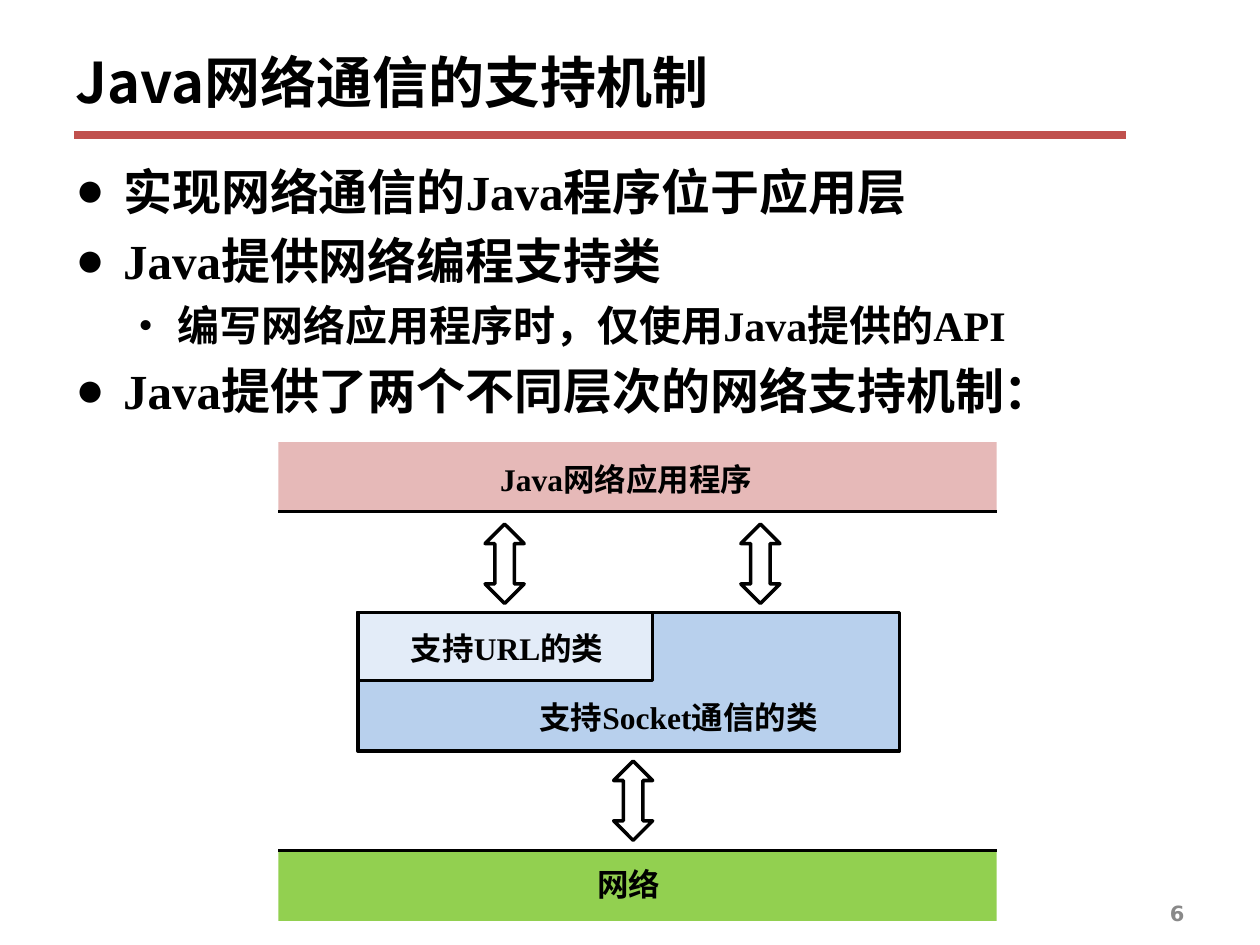
import pptx
import pptx.dml.color
import pptx.enum.shapes
import pptx.enum.text
import pptx.oxml.ns
import pptx.util
from lxml import etree

Inches, Pt = pptx.util.Inches, pptx.util.Pt
SHAPE = pptx.enum.shapes.MSO_SHAPE
ALIGN = pptx.enum.text.PP_ALIGN
ANCHOR = pptx.enum.text.MSO_ANCHOR
qn = pptx.oxml.ns.qn

SERIF, CJK, SANS = "Times New Roman", "Noto Sans CJK SC", "DejaVu Sans"
BLACK, GREY, RED = "000000", "898989", "C0504D"
PINK, GREEN, BLUE, PALE_BLUE = "E6B9B8", "92D050", "B8D0ED", "E3ECF8"

TITLE = "Java网络通信的支持机制"
BULLETS = [  # level, text
    (0, "实现网络通信的Java程序位于应用层"),
    (0, "Java提供网络编程支持类"),
    (1, "编写网络应用程序时，仅使用Java提供的API"),
    (0, "Java提供了两个不同层次的网络支持机制："),
]
LEVELS = [  # bullet, size, left margin, hanging indent
    ("●", 28, 0.38, 0.38),
    ("•", 24, 0.81, 0.31),
]
PAGE_NUMBER = "6"

LAYER_X, LAYER_W, LAYER_H = 2.21, 5.7, 0.55
LAYERS = [  # top, fill, height of the border line
    (3.51, PINK, 4.06),
    (6.76, GREEN, 6.75),
]
CLASS_BOXES = [  # width, height, fill
    (4.3, 1.1, BLUE),
    (2.34, 0.54, PALE_BLUE),
]
CLASS_X, CLASS_Y = 2.84, 4.86
LABELS = [  # text, left, top, width
    ("Java网络应用程序", 3.84, 3.6, 2.26),
    ("支持URL的类", 3.1, 4.94, 1.85),
    ("支持Socket通信的类", 4.12, 5.49, 2.53),
    ("网络", 4.64, 6.82, 0.7),
]
ARROWS = [(3.85, 4.16), (5.88, 4.16), (4.87, 6.04)]
ARROW_W, ARROW_H = 0.31, 0.63


def rgb(color):
    return pptx.dml.color.RGBColor.from_string(color)


def add_run(p, text, size, font=SERIF, color=BLACK):
    r = p.add_run()
    r.text = text
    r.font.size = Pt(size)
    r.font.bold = True
    r.font.color.rgb = rgb(color)
    r.font.name = font
    ea = etree.SubElement(r.font._element, qn("a:ea"))
    ea.set("typeface", CJK)


def add_text_box(slide, x, y, w, h, anchor=ANCHOR.TOP, wrap=True):
    box = slide.shapes.add_textbox(Inches(x), Inches(y), Inches(w), Inches(h))
    tf = box.text_frame
    tf.word_wrap = wrap
    tf.vertical_anchor = anchor
    return tf


def add_bullet(p, char, margin, hanging):
    p.space_before = Pt(6)
    pPr = p._p.get_or_add_pPr()
    pPr.set("marL", str(Inches(margin)))
    pPr.set("indent", str(-Inches(hanging)))
    clr = etree.SubElement(pPr, qn("a:buClr"))
    etree.SubElement(clr, qn("a:srgbClr")).set("val", BLACK)
    etree.SubElement(pPr, qn("a:buFont")).set("typeface", SERIF)
    etree.SubElement(pPr, qn("a:buChar")).set("char", char)


def add_shape(slide, kind, x, y, w, h, fill=None, line=None):
    sp = slide.shapes.add_shape(kind, Inches(x), Inches(y), Inches(w), Inches(h))
    sp.shadow.inherit = False
    if fill:
        sp.fill.solid()
        sp.fill.fore_color.rgb = rgb(fill)
    else:
        sp.fill.background()
    if line:
        sp.line.color.rgb = rgb(line)
        sp.line.width = Pt(2)
    else:
        sp.line.fill.background()
    return sp


def add_rule(slide, x, y, w, color, width):
    """Add a horizontal line."""
    line = slide.shapes.add_connector(
        pptx.enum.shapes.MSO_CONNECTOR.STRAIGHT,
        Inches(x), Inches(y), Inches(x + w), Inches(y))
    line.line.color.rgb = rgb(color)
    line.line.width = Pt(width)
    etree.SubElement(line._element.spPr, qn("a:effectLst"))


def add_outline(slide):
    add_rule(slide, 0.59, 1.07, 8.35, RED, 4.5)
    tf = add_text_box(slide, 0.5, 0.21, 9, 0.87, ANCHOR.MIDDLE)
    add_run(tf.paragraphs[0], TITLE, 32, CJK)

    tf = add_text_box(slide, 0.5, 1.23, 9, 5.83)
    for i, (level, text) in enumerate(BULLETS):
        p = tf.add_paragraph() if i else tf.paragraphs[0]
        p.level = level
        char, size, margin, hanging = LEVELS[level]
        add_bullet(p, char, margin, hanging)
        add_run(p, text, size)

    tf = add_text_box(slide, 7.17, 7.05, 2.33, 0.4, ANCHOR.MIDDLE)
    tf.paragraphs[0].alignment = ALIGN.RIGHT
    add_run(tf.paragraphs[0], PAGE_NUMBER, 12, SANS, GREY)


def add_diagram(slide):
    for y, fill, border_y in LAYERS:
        add_shape(slide, SHAPE.RECTANGLE, LAYER_X, y, LAYER_W, LAYER_H, fill)
        add_rule(slide, LAYER_X, border_y, LAYER_W, BLACK, 2)
    for w, h, fill in CLASS_BOXES:
        add_shape(slide, SHAPE.RECTANGLE, CLASS_X, CLASS_Y, w, h, fill, BLACK)
    for text, x, y, w in LABELS:
        tf = add_text_box(slide, x, y, w, 0.4, wrap=False)
        tf.paragraphs[0].alignment = ALIGN.CENTER
        add_run(tf.paragraphs[0], text, 18)
    for x, y in ARROWS:
        sp = add_shape(slide, SHAPE.UP_DOWN_ARROW, x, y, ARROW_W, ARROW_H, line=BLACK)
        sp.adjustments[0] = 0.5
        sp.adjustments[1] = 0.5


def main():
    prs = pptx.Presentation()
    prs.slide_width, prs.slide_height = Inches(10), Inches(7.5)
    slide = prs.slides.add_slide(prs.slide_layouts[6])
    add_outline(slide)
    add_diagram(slide)
    prs.save("out.pptx")


if __name__ == "__main__":
    main()
